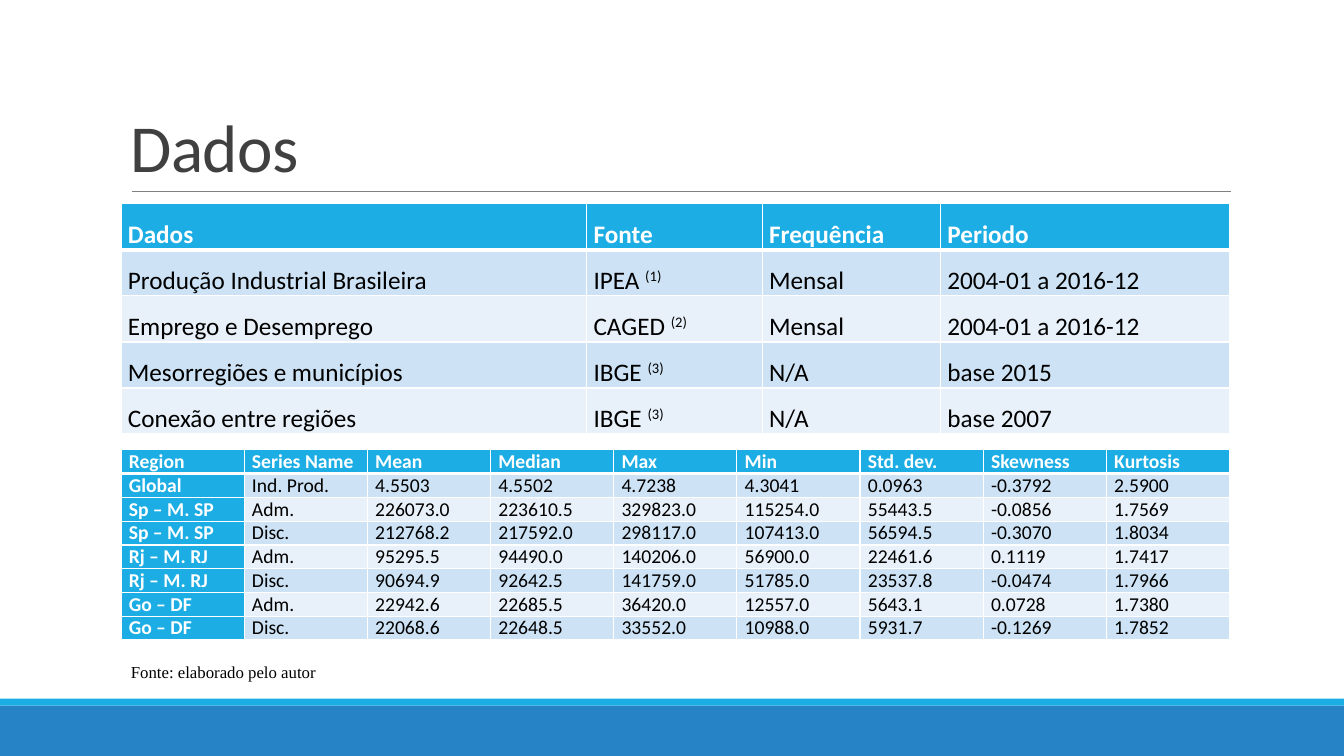
from lxml import etree
from pptx import Presentation
from pptx.dml.color import RGBColor
from pptx.enum import shapes, text
from pptx.oxml import ns
from pptx.util import Pt

WHITE = RGBColor(0xFF, 0xFF, 0xFF)
BLACK = RGBColor(0x00, 0x00, 0x00)
CHARCOAL = RGBColor(0x40, 0x40, 0x40)
GRAY = RGBColor(0x80, 0x80, 0x80)
CYAN = RGBColor(0x1C, 0xAD, 0xE4)
BLUE = RGBColor(0x26, 0x83, 0xC6)
BANDS = (RGBColor(0xCD, 0xE3, 0xF5), RGBColor(0xE8, 0xF1, 0xFA))

LEFT = 86.4

SOURCES = [
    ("Dados", "Fonte", "Frequência", "Periodo"),
    ("Produção Industrial Brasileira", ("IPEA ", "(1)"), "Mensal", "2004-01 a 2016-12"),
    ("Emprego e Desemprego", ("CAGED ", "(2)"), "Mensal", "2004-01 a 2016-12"),
    ("Mesorregiões e municípios", ("IBGE ", "(3)"), "N/A", "base 2015"),
    ("Conexão entre regiões", ("IBGE ", "(3)"), "N/A", "base 2007"),
]
STATISTICS = [
    ("Region", "Series Name", "Mean", "Median", "Max", "Min", "Std. dev.", "Skewness", "Kurtosis"),
    ("Global", "Ind. Prod.", "4.5503", "4.5502", "4.7238", "4.3041", "0.0963", "-0.3792", "2.5900"),
    ("Sp – M. SP", "Adm.", "226073.0", "223610.5", "329823.0", "115254.0", "55443.5", "-0.0856", "1.7569"),
    ("Sp – M. SP", "Disc.", "212768.2", "217592.0", "298117.0", "107413.0", "56594.5", "-0.3070", "1.8034"),
    ("Rj – M. RJ", "Adm.", "95295.5", "94490.0", "140206.0", "56900.0", "22461.6", "0.1119", "1.7417"),
    ("Rj – M. RJ", "Disc.", "90694.9", "92642.5", "141759.0", "51785.0", "23537.8", "-0.0474", "1.7966"),
    ("Go – DF", "Adm.", "22942.6", "22685.5", "36420.0", "12557.0", "5643.1", "0.0728", "1.7380"),
    ("Go – DF", "Disc.", "22068.6", "22648.5", "33552.0", "10988.0", "5931.7", "-0.1269", "1.7852"),
]


def write_text(frame, content, size, color=BLACK, font="Calibri", bold=False,
               align=None, line_spacing=None, tracking=0):
    """Write one paragraph; in a tuple, the second part is superscript."""
    parts = content if isinstance(content, tuple) else (content,)
    para = frame.paragraphs[0]
    para.alignment = align
    para.line_spacing = line_spacing
    for index, part in enumerate(parts):
        span = para.add_run()
        span.text = part
        span.font.size = Pt(size)
        span.font.name = font
        span.font.bold = bold
        span.font.color.rgb = color
        properties = span._r.get_or_add_rPr()
        if index:
            properties.set("baseline", "30000")
        if tracking:
            properties.set("spc", str(round(tracking * 100)))


def add_label(page, content, left, top, width, height,
              anchor=text.MSO_ANCHOR.TOP, **style):
    """Add a wrapping text box."""
    box = page.shapes.add_textbox(Pt(left), Pt(top), Pt(width), Pt(height))
    box.text_frame.word_wrap = True
    box.text_frame.vertical_anchor = anchor
    write_text(box.text_frame, content, **style)


def add_bar(page, top, height, color):
    """Add a full-width colour bar."""
    bar = page.shapes.add_shape(shapes.MSO_SHAPE.RECTANGLE, 0, Pt(top), Pt(960), Pt(height))
    bar.shadow.inherit = False
    bar.fill.solid()
    bar.fill.fore_color.rgb = color
    bar.line.fill.background()


def add_rule(page, left, right, top):
    """Add the thin rule under the title."""
    rule = page.shapes.add_connector(
        shapes.MSO_CONNECTOR.STRAIGHT, Pt(left), Pt(top), Pt(right), Pt(top))
    rule.line.color.rgb = GRAY
    rule.line.width = Pt(0.5)
    etree.SubElement(rule._element.spPr, ns.qn("a:effectLst"))


def set_borders(cell, top=1, bottom=1):
    """Give a cell white borders of the given widths."""
    properties = cell._tc.get_or_add_tcPr()
    for side, width in (("L", 1), ("R", 1), ("T", top), ("B", bottom)):
        line = etree.SubElement(properties, ns.qn(f"a:ln{side}"), w=str(Pt(width)))
        fill = etree.SubElement(line, ns.qn("a:solidFill"))
        etree.SubElement(fill, ns.qn("a:srgbClr"), val=str(WHITE))


def add_grid(page, rows, top, widths, row_height, inset, header_column=False, **style):
    """Add a banded table with a cyan header."""
    grid = page.shapes.add_table(
        len(rows), len(widths), Pt(LEFT), Pt(top),
        Pt(sum(widths)), Pt(row_height * len(rows))).table
    grid.first_col = header_column
    for column, width in zip(grid.columns, widths):
        column.width = Pt(width)
    for row_index, row in enumerate(rows):
        grid.rows[row_index].height = Pt(row_height)
        for column_index, content in enumerate(row):
            cell = grid.cell(row_index, column_index)
            header = row_index == 0 or (header_column and column_index == 0)
            cell.margin_left = cell.margin_right = Pt(inset)
            cell.margin_top = cell.margin_bottom = 0
            set_borders(cell, top=3 if row_index == 1 else 1,
                        bottom=3 if row_index == 0 else 1)
            cell.fill.solid()
            cell.fill.fore_color.rgb = CYAN if header else BANDS[(row_index - 1) % 2]
            write_text(cell.text_frame, content, bold=header,
                       color=WHITE if header else BLACK, **style)


def main():
    """Build the data slide."""
    deck = Presentation()
    deck.slide_width, deck.slide_height = Pt(960), Pt(540)
    page = deck.slides.add_slide(deck.slide_layouts[6])
    add_bar(page, 504, 36, BLUE)
    add_bar(page, 499, 5, CYAN)
    add_rule(page, 94.3, 879, 136.8)
    add_label(page, "Dados", LEFT, 22.5, 792, 114.3, anchor=text.MSO_ANCHOR.BOTTOM,
              size=48, color=CHARCOAL, line_spacing=0.85, tracking=-0.5)
    add_grid(page, SOURCES, 145.6, (332.6, 125.4, 127.4, 206.6), 32.9, 5,
             size=18, align=text.PP_ALIGN.JUSTIFY, line_spacing=1.5)
    add_grid(page, STATISTICS, 321.3, [88] * 9, 17, 5.6, header_column=True, size=14)
    add_label(page, "Fonte: elaborado pelo autor", LEFT, 469.4, 480, 21.8,
              size=12, font="Times New Roman")
    deck.save("out.pptx")


if __name__ == "__main__":
    main()
